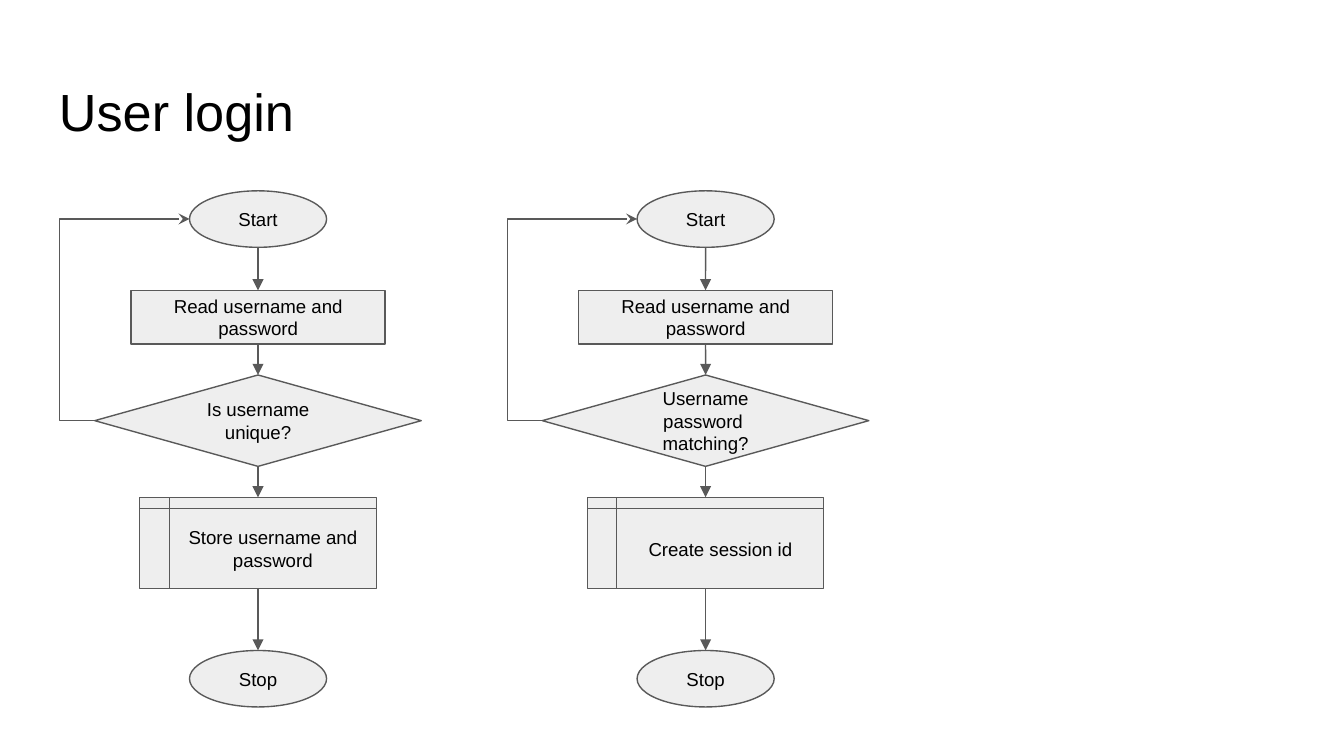
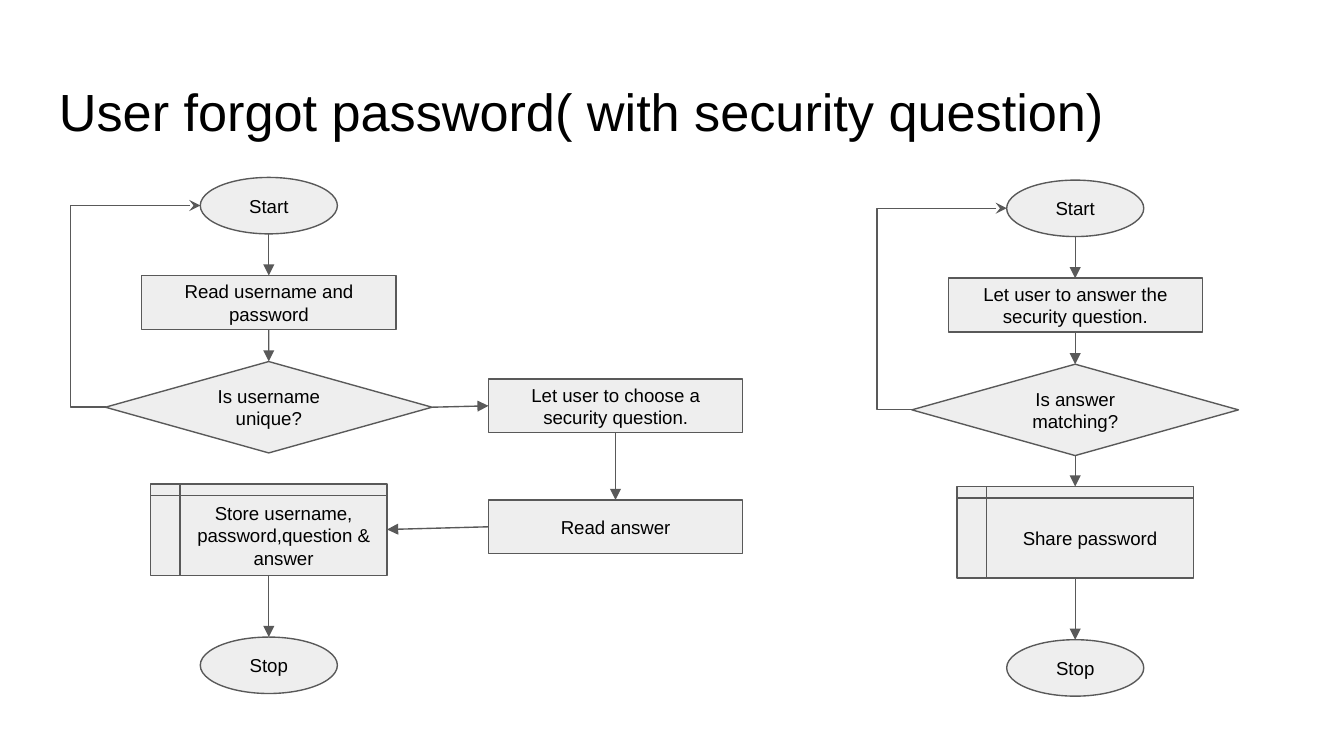
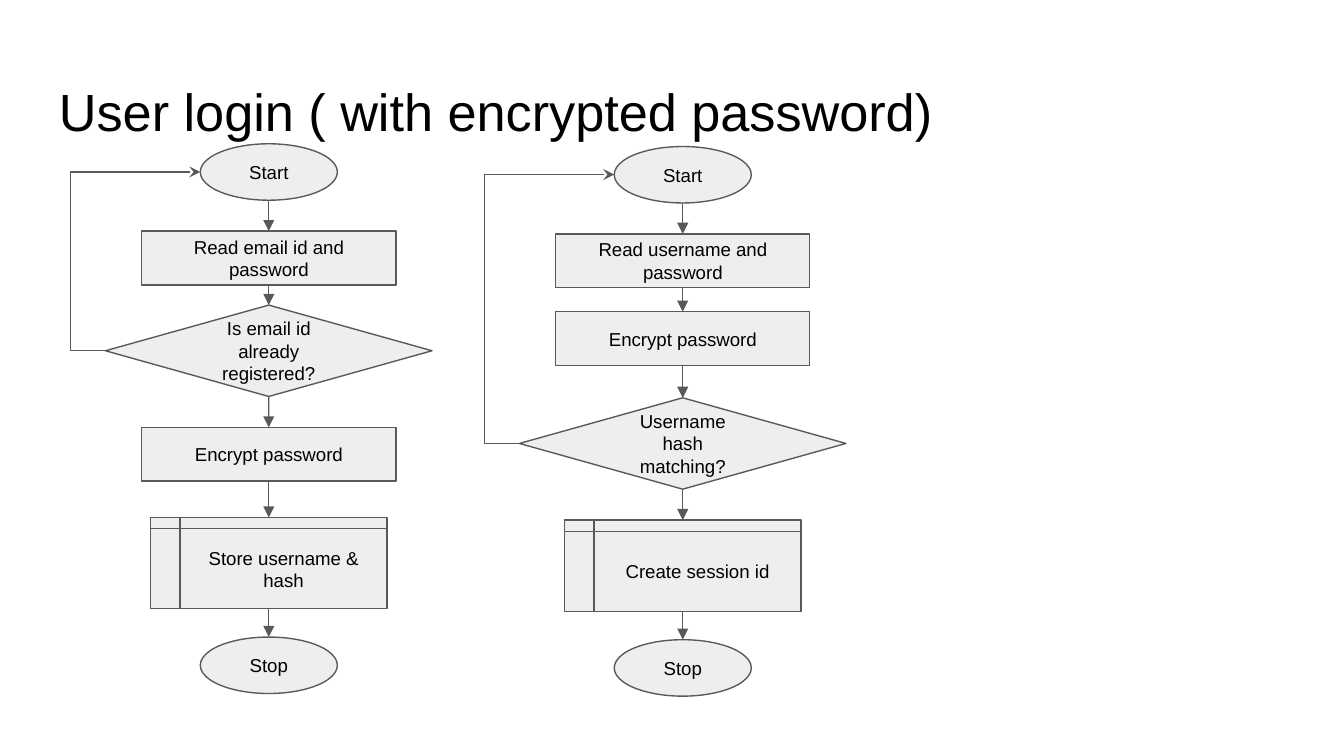
from lxml import etree
from pptx import Presentation
from pptx.dml.color import RGBColor
from pptx.enum import shapes, text
from pptx.oxml import ns
from pptx.util import Inches, Pt

# Content: per slide a title and its flows; per flow the centre of the
# first column and the steps as (kind, top, words, column)
SLIDES = [
    ("User login", [
        (1.92, [("oval", 1.42, "Start", 0),
                ("step", 2.16, "Read username and password", 0),
                ("test", 2.79, "Is username unique?", 0),
                ("store", 3.7, "Store username and password", 0),
                ("oval", 4.84, "Stop", 0)]),
        (5.25, [("oval", 1.42, "Start", 0),
                ("step", 2.16, "Read username and password", 0),
                ("test", 2.79, "Username\npassword \nmatching?", 0),
                ("store", 3.7, "Create session id", 0),
                ("oval", 4.84, "Stop", 0)]),
    ]),
    ("User forgot password( with security question)", [
        (2, [("oval", 1.32, "Start", 0),
             ("step", 2.05, "Read username and password", 0),
             ("test", 2.69, "Is username unique?", 0),
             ("step", 2.82, "Let user to choose a security question.", 1),
             ("step", 3.72, "Read answer", 1),
             ("store", 3.6, "Store username, password,question & answer", 0),
             ("oval", 4.74, "Stop", 0)]),
        (8, [("oval", 1.34, "Start", 0),
             ("step", 2.07, "Let user to answer the security question.", 0),
             ("test", 2.71, "Is answer matching?", 0),
             ("store", 3.62, "Share password", 0),
             ("oval", 4.76, "Stop", 0)]),
    ]),
    ("User login ( with encrypted password)", [
        (2, [("oval", 1.07, "Start", 0),
             ("step", 1.72, "Read email id and password", 0),
             ("test", 2.27, "Is email id already registered?", 0),
             ("step", 3.18, "Encrypt password", 0),
             ("store", 3.85, "Store username & hash", 0),
             ("oval", 4.74, "Stop", 0)]),
        (5.08, [("oval", 1.09, "Start", 0),
                ("step", 1.74, "Read username and password", 0),
                ("step", 2.32, "Encrypt password", 0),
                ("test", 2.96, "Username\nhash\nmatching?", 0),
                ("store", 3.87, "Create session id", 0),
                ("oval", 4.76, "Stop", 0)]),
    ]),
]

# Shared look
COLORS = {"ink": "000000", "fill": "EEEEEE", "line": "595959"}
FONT = "Arial"
COLUMN = 2.58
TOP, LEFT, BOTTOM, RIGHT = range(4)
PRESET = shapes.MSO_SHAPE
KINDS = {  # preset, width, height
    "oval": (PRESET.FLOWCHART_CONNECTOR, 1.02, 0.42),
    "step": (PRESET.FLOWCHART_PROCESS, 1.89, 0.4),
    "test": (PRESET.FLOWCHART_DECISION, 2.43, 0.68),
    "store": (PRESET.FLOWCHART_INTERNAL_STORAGE, 1.76, 0.68),
}


def color(name):
    return RGBColor.from_string(COLORS[name])


def write(shape, words, size=10, align=text.PP_ALIGN.CENTER,
          anchor=text.MSO_ANCHOR.MIDDLE):
    frame = shape.text_frame
    frame.word_wrap = True
    frame.vertical_anchor = anchor
    frame.margin_left = frame.margin_right = Inches(0.1)
    frame.margin_top = frame.margin_bottom = Inches(0.1)
    frame.text = words
    for para in frame.paragraphs:
        para.alignment = align
        for run in para.runs:
            run.font.name = FONT
            run.font.size = Pt(size)
            run.font.color.rgb = color("ink")


def add_node(slide, center, kind, top, words, column):
    preset, width, height = KINDS[kind]
    left = center + column * COLUMN - width / 2
    node = slide.shapes.add_shape(preset, Inches(left), Inches(top),
                                  Inches(width), Inches(height))
    node.shadow.inherit = False
    node.fill.solid()
    node.fill.fore_color.rgb = color("fill")
    node.line.color.rgb = color("line")
    node.line.width = Pt(0.75)
    write(node, words)
    return node


def site(node, side):
    """Middle of one side of a node."""
    x = {LEFT: 0, RIGHT: node.width}.get(side, node.width // 2)
    y = {TOP: 0, BOTTOM: node.height}.get(side, node.height // 2)
    return node.left + x, node.top + y


def add_link(slide, form, start, end, head):
    link = slide.shapes.add_connector(form, *start, *end)
    link.line.color.rgb = color("line")
    link.line.width = Pt(0.75)
    props = link._element.spPr
    etree.SubElement(props.find(ns.qn("a:ln")), ns.qn("a:tailEnd"), type=head)
    etree.SubElement(props, ns.qn("a:effectLst"))
    return link


def join(slide, first, second, shift):
    """Straight arrow; shift is the change of column."""
    out, into = {0: (BOTTOM, TOP), 1: (RIGHT, LEFT), -1: (LEFT, RIGHT)}[shift]
    link = add_link(slide, shapes.MSO_CONNECTOR.STRAIGHT,
                    site(first, out), site(second, into), "triangle")
    oval = KINDS["oval"][0]
    # Ovals number their sites differently below the top one
    if first.auto_shape_type != oval:
        link.begin_connect(first, out)
    if second.auto_shape_type != oval or into == TOP:
        link.end_connect(second, into)


def loop_back(slide, test, start):
    """Bent arrow that leaves to the left of the test and returns to start."""
    link = add_link(slide, shapes.MSO_CONNECTOR.ELBOW,
                    site(test, LEFT), site(start, LEFT), "stealth")
    geom = link._element.spPr.find(ns.qn("a:prstGeom"))
    guides = geom.find(ns.qn("a:avLst"))
    if guides is None:
        guides = etree.SubElement(geom, ns.qn("a:avLst"))
    etree.SubElement(guides, ns.qn("a:gd"), name="adj1", fmla="val -37000")


def add_flow(slide, center, steps):
    nodes = [add_node(slide, center, *step) for step in steps]
    for i in range(len(nodes) - 1):
        join(slide, nodes[i], nodes[i + 1], steps[i + 1][3] - steps[i][3])
    test = [step[0] for step in steps].index("test")
    loop_back(slide, nodes[test], nodes[0])


def main():
    deck = Presentation()
    # Wide format, 16:9
    deck.slide_width = Inches(10)
    deck.slide_height = Inches(10 * 9 / 16)
    for title, flows in SLIDES:
        slide = deck.slides.add_slide(deck.slide_layouts[6])
        box = slide.shapes.add_textbox(Inches(0.34), Inches(0.49),
                                       Inches(9.32), Inches(0.63))
        write(box, title, size=28, align=text.PP_ALIGN.LEFT,
              anchor=text.MSO_ANCHOR.TOP)
        for center, steps in flows:
            add_flow(slide, center, steps)
    deck.save("out.pptx")


if __name__ == "__main__":
    main()
